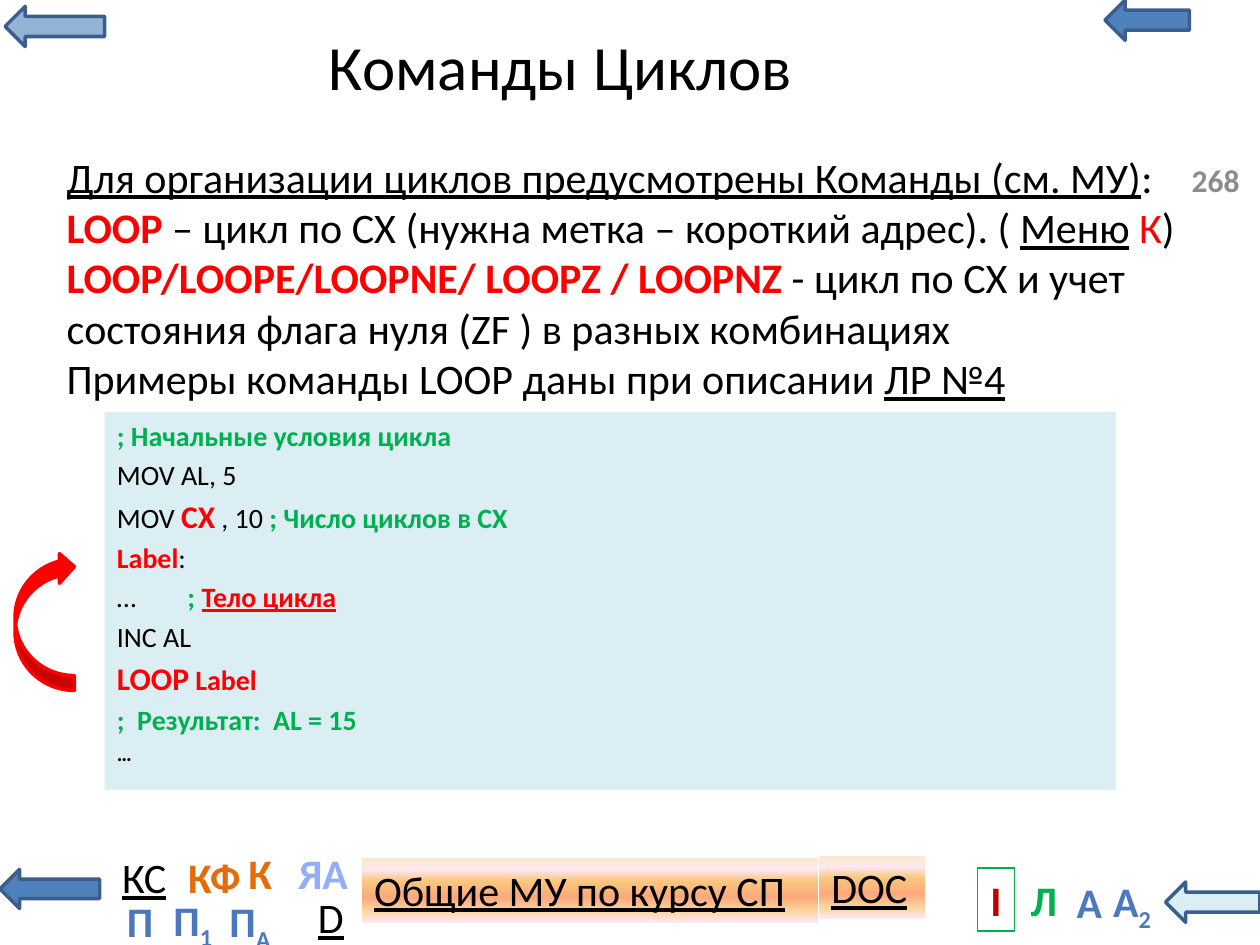
from lxml.etree import SubElement
from pptx import Presentation
from pptx.dml.color import RGBColor
from pptx.enum.shapes import MSO_SHAPE
from pptx.enum.text import MSO_ANCHOR, PP_ALIGN
from pptx.oxml.ns import qn
from pptx.util import Pt

PX = 9144
COLORS = {
    "black": "000000", "white": "FFFFFF", "red": "FF0000", "green": "00B050",
    "dark_red": "C00000", "orange": "E46C0A", "violet": "93AEF7", "steel": "4D79BC",
    "gray": "8C8C8C", "blue": "4F81BD", "soft_blue": "95B3D7", "ice": "DBEEF4",
    "edge": "3A5F8C",
}
GLOW = {0: "FBEAC7", 18: "FEE7F2", 36: "FAC77D", 61: "FBA97D", 82: "FBD49C", 100: "FEE7F2"}
RED = {"color": "red", "bold": True}
GREEN = {"color": "green", "bold": True}
LINK = {"underline": True}


def color_of(name):
    return RGBColor.from_string(COLORS[name])


def within(region, left, top, width, height):
    return region[0] + left, region[1] + top, width, height


def add_text(para, text, size=24, color="black", bold=False, underline=False, baseline=0):
    span = para.add_run()
    span.text = text
    span.font.name = "Calibri"
    span.font.size = Pt(size)
    span.font.bold = bold
    span.font.underline = underline
    span.font.color.rgb = color_of(color)
    if baseline:
        span.font._element.set("baseline", str(baseline * 1000))


def add_shape(page, kind, box, fill=None, line=None, line_width=2):
    shape = page.shapes.add_shape(kind, *(value * PX for value in box))
    shape.shadow.inherit = False
    if fill:
        shape.fill.solid()
        shape.fill.fore_color.rgb = color_of(fill)
    else:
        shape.fill.background()
    if line:
        shape.line.color.rgb = color_of(line)
        shape.line.width = Pt(line_width)
    else:
        shape.line.fill.background()
    return shape


def add_text_box(page, box):
    return page.shapes.add_textbox(*(value * PX for value in box))


def fill_text(shape, paragraphs, align=PP_ALIGN.LEFT, anchor=MSO_ANCHOR.TOP, wrap=True, **common):
    frame = shape.text_frame
    frame.word_wrap = wrap
    frame.vertical_anchor = anchor
    for index, spans in enumerate(paragraphs):
        para = frame.add_paragraph() if index else frame.paragraphs[0]
        para.alignment = align
        for text, style in spans:
            add_text(para, text, **{**common, **style})
    return frame


def add_glow(shape):
    shape.fill.gradient()
    shape.fill.gradient_angle = 270
    stops = shape._element.spPr.find(qn("a:gradFill")).find(qn("a:gsLst"))
    stops.clear()
    for percent, value in GLOW.items():
        stop = SubElement(stops, qn("a:gs"), pos=str(percent * 1000))
        SubElement(stop, qn("a:srgbClr"), val=value)


def add_arrows(page, region):
    for box, fill in (
        ((877, 0, 67, 32), "blue"),
        ((0, 690, 79, 31), "blue"),
        ((4, 5, 79, 32), "soft_blue"),
        ((925, 700, 75, 32), "ice"),
    ):
        add_shape(page, MSO_SHAPE.LEFT_ARROW, within(region, *box), fill, "edge")


def add_menu(page, region):
    for box, text in (((287, 13, 362, 51), "Общие МУ по курсу СП"), ((650, 11, 84, 50), "DOC")):
        button = add_shape(page, MSO_SHAPE.RECTANGLE, within(region, *box))
        add_glow(button)
        fill_text(button, [[(text, LINK)]])
    for left, top, width, text, line, style in (
        (243, 35, 39, "D", "white", LINK),
        (83, 3, 63, "КС", "white", LINK),
        (776, 21, 29, "I", "green", {"color": "dark_red", "bold": True}),
    ):
        frame = add_shape(page, MSO_SHAPE.RECTANGLE, within(region, left, top, width, 50),
                          line=line, line_width=0.75)
        fill_text(frame, [[(text, style)]], PP_ALIGN.CENTER, wrap=False)
    for left, top, width, text, index, color in (
        (844, 23, 41, "А", "", "steel"),
        (187, 0, 39, "К", "", "orange"),
        (808, 21, 41, "Л", "", "green"),
        (872, 22, 53, "А", "2", "steel"),
        (225, 0, 63, "ЯА", "", "violet"),
        (91, 38, 33, "П", "", "steel"),
        (126, 37, 54, "П", "1", "steel"),
        (139, 3, 62, "КФ", "", "orange"),
        (171, 38, 55, "П", "А", "steel"),
    ):
        spans = [(text, {})] + ([(index, {"baseline": -25})] if index else [])
        label = add_text_box(page, within(region, left, top, width, 50))
        fill_text(label, [spans], PP_ALIGN.CENTER, wrap=False, color=color, bold=True)


def add_heading(page, region):
    title = add_text_box(page, within(region, 0, 0, 614, 77))
    fill_text(title, [[("Команды Циклов", {})]], PP_ALIGN.CENTER, MSO_ANCHOR.MIDDLE, size=36)
    number = add_text_box(page, within(region, 798, 110, 64, 40))
    fill_text(number, [[("268", {})]], anchor=MSO_ANCHOR.MIDDLE, size=18, color="gray", bold=True)


def add_description(page, region):
    fill_text(add_text_box(page, region), [
        [("Для организации циклов предусмотрены Команды (см. МУ)", LINK), (":", {})],
        [("LOOP ", RED), ("– цикл по CX (нужна метка – короткий адрес). ( ", {}),
         ("Меню", LINK), (" К", {"color": "red"}), (")", {})],
        [("LOOP/LOOPE/LOOPNE/ LOOPZ / LOOPNZ ", RED),
         ("- цикл по CX и учет состояния флага нуля (ZF ) в разных комбинациях", {})],
        [("Примеры команды LOOP даны при описании ", {}), ("ЛР №4", LINK)],
    ])


def add_listing(page, region):
    large_red = {**RED, "size": 18}
    panel = add_shape(page, MSO_SHAPE.RECTANGLE, within(region, 71, 0, 803, 300), "ice")
    frame = fill_text(panel, [
        [("; Начальные условия цикла", GREEN)],
        [("MOV AL, 5", {})],
        [("MOV ", {}), ("CX", large_red), (" , 10 ", {}), ("; Число циклов в CX", GREEN)],
        [("Label", RED), (":", {})],
        [("…\t", {}), ("; ", GREEN), ("Тело цикла", {**RED, **LINK})],
        [("INC AL", {})],
        [("LOOP", large_red), (" ", {}), ("Label", RED)],
        [(";  Результат:  AL = 15", GREEN)],
        [("…", {"size": 12, "bold": True})],
    ], size=16)
    for para in frame.paragraphs[1:]:
        if "\t" in para.text:
            tabs = SubElement(para._p.get_or_add_pPr(), qn("a:tabLst"))
            SubElement(tabs, qn("a:tab"), pos=str(56 * PX), algn="l")
        para.space_before = Pt(0.2 * max(span.font.size.pt for span in para.runs))
    loop = add_shape(page, MSO_SHAPE.CURVED_RIGHT_ARROW, within(region, 0, 111, 47, 110), "red", "red")
    loop._element.spPr.find(qn("a:xfrm")).set("flipV", "1")


def main():
    deck = Presentation()
    deck.slide_width, deck.slide_height = 1000 * PX, 750 * PX
    page = deck.slides.add_slide(deck.slide_layouts[6])
    add_arrows(page, (0, 0, 1000, 750))
    add_menu(page, (0, 668, 1000, 82))
    add_heading(page, (138, 13, 862, 150))
    add_description(page, (43, 115, 953, 212))
    add_listing(page, (12, 327, 874, 300))
    deck.save("out.pptx")


if __name__ == "__main__":
    main()
